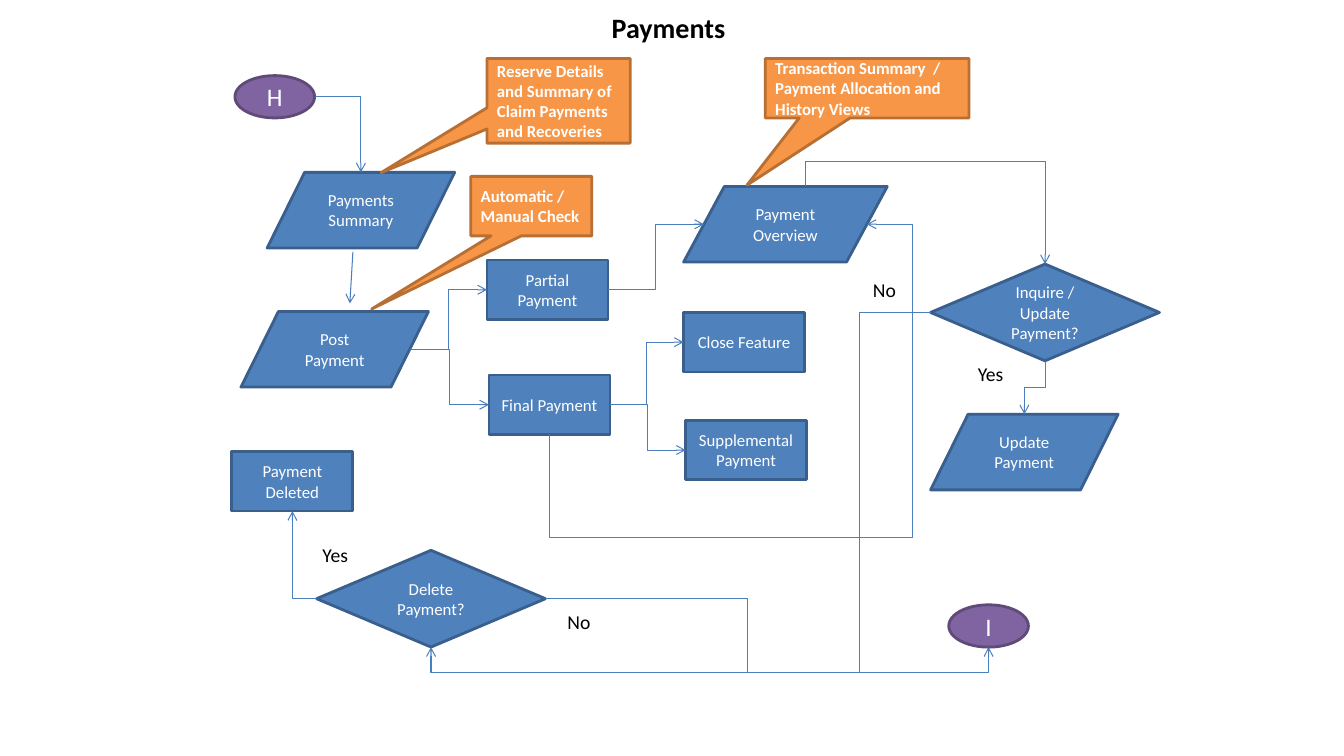
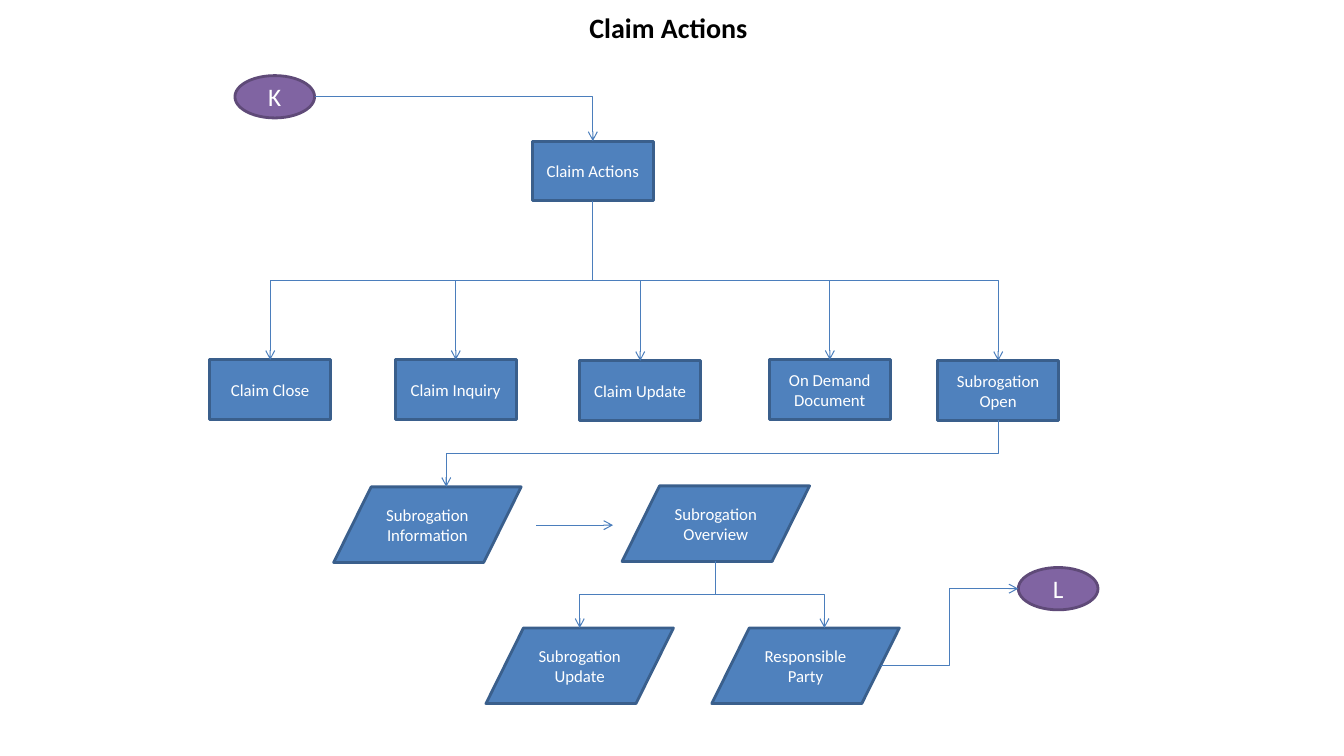
"""Build two claim-handling flowcharts: payments and claim actions."""
from lxml.etree import SubElement
from pptx import Presentation
from pptx.dml.color import RGBColor
from pptx.enum.shapes import MSO_CONNECTOR, MSO_SHAPE
from pptx.enum.text import MSO_ANCHOR, PP_ALIGN
from pptx.oxml.ns import qn
from pptx.util import Pt

PX = 9144
FONT = "Calibri"
COLORS = {
    "step": "4F81BD", "step_line": "3A5F8C",
    "link": "8064A2", "link_line": "5F4A78",
    "note": "F79646", "note_line": "B76F34",
    "arrow": "4B7EBC", "white": "FFFFFF", "black": "000000",
}
KINDS = {
    "process": (MSO_SHAPE.FLOWCHART_PROCESS, 120, 59, "step", 12),
    "data": (MSO_SHAPE.FLOWCHART_DATA, 186, 75, "step", 12),
    "wide data": (MSO_SHAPE.FLOWCHART_DATA, 202, 75, "step", 12),
    "decision": (MSO_SHAPE.FLOWCHART_DECISION, 227, 96, "step", 12),
    "link": (MSO_SHAPE.OVAL, 79, 42, "link", 18),
}
BOX_SITES = {"top": (0, 0.5, 0), "left": (1, 0, 0.5),
             "bottom": (2, 0.5, 1), "right": (3, 1, 0.5)}
DATA_SITES = {"top right": (0, 0.6, 0), "top": (1, 0.5, 0), "left": (2, 0.1, 0.5),
              "bottom": (4, 0.5, 1), "right": (5, 0.9, 0.5)}
LINK_SITES = {"top": (0, 0.5, 0), "left": (2, 0, 0.5),
              "bottom": (4, 0.5, 1), "right": (6, 1, 0.5)}
SITES = {"process": BOX_SITES, "decision": BOX_SITES, "data": DATA_SITES,
         "wide data": DATA_SITES, "link": LINK_SITES}

SLIDES = [
    {
        "title": "Payments",
        "nodes": [
            ("H", "link", 233, 75),
            ("I", "link", 941, 600),
            ("Payments Summary", "data", 265, 171),
            ("Post Payment", "data", 239, 309),
            ("Payment Overview", "wide data", 678, 185),
            ("Partial Payment", "process", 483, 258),
            ("Final Payment", "process", 485, 372),
            ("Close Feature", "process", 678, 310),
            ("Supplemental Payment", "process", 680, 417),
            ("Inquire / Update Payment?", "decision", 923, 262),
            ("Update Payment", "data", 923, 411),
            ("Delete Payment?", "decision", 314, 546),
            ("Payment Deleted", "process", 230, 448),
        ],
        "notes": [
            ("Reserve Details and Summary of Claim Payments and Recoveries",
             483, 58, 142, 84, (-1.24, 0.85)),
            ("Automatic / Manual Check", 467, 175, 120, 59, (-1.32, 1.73)),
            ("Transaction Summary  / Payment Allocation and History Views",
             759, 58, 202, 59, (-0.59, 1.63)),
        ],
        "labels": [("Yes", 960, 354), ("No", 856, 271), ("Yes", 310, 534), ("No", 553, 600)],
        "arrows": [(350, 250, 347, 301)],
        "elbows": [
            ("H", "right", "Payments Summary", "top", ()),
            ("Post Payment", "right", "Partial Payment", "left", ()),
            ("Post Payment", "right", "Final Payment", "left", ()),
            ("Final Payment", "right", "Close Feature", "left", ()),
            ("Final Payment", "right", "Supplemental Payment", "left", ()),
            ("Partial Payment", "right", "Payment Overview", "left", ()),
            ("Final Payment", "bottom", "Payment Overview", "right", (533, 905)),
            ("Payment Overview", "top right", "Inquire / Update Payment?", "top", (160,)),
            ("Inquire / Update Payment?", "bottom", "Update Payment", "top", ()),
            ("Inquire / Update Payment?", "left", "Delete Payment?", "bottom", (852, 667)),
            ("Delete Payment?", "left", "Payment Deleted", "bottom", ()),
            ("Delete Payment?", "right", "I", "bottom", (741, 667)),
        ],
    },
    {
        "title": "Claim Actions",
        "nodes": [
            ("K", "link", 233, 75),
            ("L", "link", 1010, 563),
            ("Claim Actions", "process", 528, 140),
            ("Claim Close", "process", 208, 357),
            ("Claim Inquiry", "process", 392, 357),
            ("Claim Update", "process", 575, 358),
            ("On Demand Document", "process", 763, 357),
            ("Subrogation Open", "process", 930, 358),
            ("Subrogation Information", "data", 331, 483),
            ("Subrogation Overview", "data", 617, 482),
            ("Subrogation Update", "data", 482, 623),
            ("Responsible Party", "data", 706, 623),
        ],
        "notes": [],
        "labels": [],
        "arrows": [(532, 521, 608, 521)],
        "elbows": [
            ("K", "right", "Claim Actions", "top", ()),
            *[("Claim Actions", "bottom", action, "top", ()) for action in (
                "Claim Close", "Claim Inquiry", "Claim Update",
                "On Demand Document", "Subrogation Open")],
            ("Subrogation Open", "bottom", "Subrogation Information", "top right", ()),
            ("Subrogation Overview", "bottom", "Subrogation Update", "top", ()),
            ("Subrogation Overview", "bottom", "Responsible Party", "top right", ()),
            ("Responsible Party", "right", "L", "left", ()),
        ],
    },
]


def rgb(name):
    return RGBColor.from_string(COLORS[name])


def px(*lengths):
    return [round(length * PX) for length in lengths]


def write(sp, text, size, color, align=PP_ALIGN.CENTER, bold=False):
    tf = sp.text_frame
    tf.text = text
    p = tf.paragraphs[0]
    p.alignment = align
    p.font.name, p.font.size, p.font.bold = FONT, Pt(size), bold
    p.font.color.rgb = rgb(color)
    return tf


def add_title(slide, text):
    sp = slide.shapes.title
    sp.left, sp.top, sp.width, sp.height = px(167, 5, 992, 45)
    write(sp, text, 20, "black", bold=True).vertical_anchor = MSO_ANCHOR.MIDDLE


def add_box(slide, shape, box, style, text, size, **format):
    sp = slide.shapes.add_shape(shape, *px(*box))
    sp.shadow.inherit = False
    sp.fill.solid()
    sp.fill.fore_color.rgb = rgb(style)
    sp.line.color.rgb = rgb(style + "_line")
    sp.line.width = Pt(2)
    tf = write(sp, text, size, "white", **format)
    tf.word_wrap = True
    tf.vertical_anchor = MSO_ANCHOR.MIDDLE
    return sp


def add_label(slide, text, x, y):
    sp = slide.shapes.add_textbox(*px(x, y, 50, 34))
    write(sp, text, 14, "black", PP_ALIGN.LEFT)


def add_arrow(slide, kind, x1, y1, x2, y2):
    c = slide.shapes.add_connector(kind, *px(x1, y1, x2, y2))
    c.line.color.rgb = rgb("arrow")
    c.line.width = Pt(0.75)
    spPr = c._element.spPr
    SubElement(spPr.find(qn("a:ln")), qn("a:tailEnd"), type="arrow")
    SubElement(spPr, qn("a:effectLst"))
    return c


def site(node, side):
    sp, kind, (x, y, w, h) = node
    index, fx, fy = SITES[kind][side]
    return sp, index, x + fx * w, y + fy * h


def add_elbow(slide, start, start_side, end, end_side, bends):
    sp1, index1, x1, y1 = site(start, start_side)
    sp2, index2, x2, y2 = site(end, end_side)
    c = add_arrow(slide, MSO_CONNECTOR.ELBOW, x1, y1, x2, y2)
    c.begin_connect(sp1, 0)
    c.end_connect(sp2, 0)
    for tag, index in (("a:stCxn", index1), ("a:endCxn", index2)):
        next(c._element.iter(qn(tag))).set("idx", str(index))

    dx, dy = x2 - x1, y2 - y1
    sideways = start_side in ("left", "right")
    if sideways:
        w, h = abs(dx), abs(dy)
        rotation = 180 if dx < 0 else 0
        flip_h, flip_v = False, (dx > 0) != (dy > 0)
        runs = [(x1, dx), (y1, dy)]
    else:
        w, h = abs(dy), abs(dx)
        rotation = 270 if (dx > 0) == (dy > 0) else 90
        flip_h, flip_v = dx > 0, dy < 0
        runs = [(y1, dy), (x1, dx)]
    c.left, c.top, c.width, c.height = px((x1 + x2 - w) / 2, (y1 + y2 - h) / 2, w, h)
    xfrm = c._element.spPr.find(qn("a:xfrm"))
    xfrm.set("rot", str(rotation * 60000))
    xfrm.set("flipH", str(int(flip_h)))
    xfrm.set("flipV", str(int(flip_v)))

    turns = sideways != (end_side in ("left", "right"))
    segments = 4 if len(bends) == 2 else 2 if turns else 3
    geom = c._element.spPr.find(qn("a:prstGeom"))
    geom.set("prst", f"bentConnector{segments}")
    guides = geom.find(qn("a:avLst"))
    if guides is None:
        guides = SubElement(geom, qn("a:avLst"))
    for n, (bend, (origin, run)) in enumerate(zip(bends, runs), 1):
        value = round((bend - origin) / run * 100000)
        SubElement(guides, qn("a:gd"), name=f"adj{n}", fmla=f"val {value}")


def build_slide(prs, content):
    slide = prs.slides.add_slide(prs.slide_layouts[5])
    add_title(slide, content["title"])
    nodes = {}
    for text, kind, x, y in content["nodes"]:
        shape, w, h, style, size = KINDS[kind]
        box = (x, y, w, h)
        nodes[text] = (add_box(slide, shape, box, style, text, size), kind, box)
    for text, x, y, w, h, tip in content["notes"]:
        sp = add_box(slide, MSO_SHAPE.RECTANGULAR_CALLOUT, (x, y, w, h), "note",
                     text, 12, align=PP_ALIGN.LEFT, bold=True)
        sp.adjustments[0], sp.adjustments[1] = tip
    for start, start_side, end, end_side, bends in content["elbows"]:
        add_elbow(slide, nodes[start], start_side, nodes[end], end_side, bends)
    for ends in content["arrows"]:
        add_arrow(slide, MSO_CONNECTOR.STRAIGHT, *ends)
    for label in content["labels"]:
        add_label(slide, *label)


def main():
    prs = Presentation()
    prs.slide_width, prs.slide_height = px(1333, 750)
    for content in SLIDES:
        build_slide(prs, content)
    prs.save("out.pptx")


if __name__ == "__main__":
    main()
